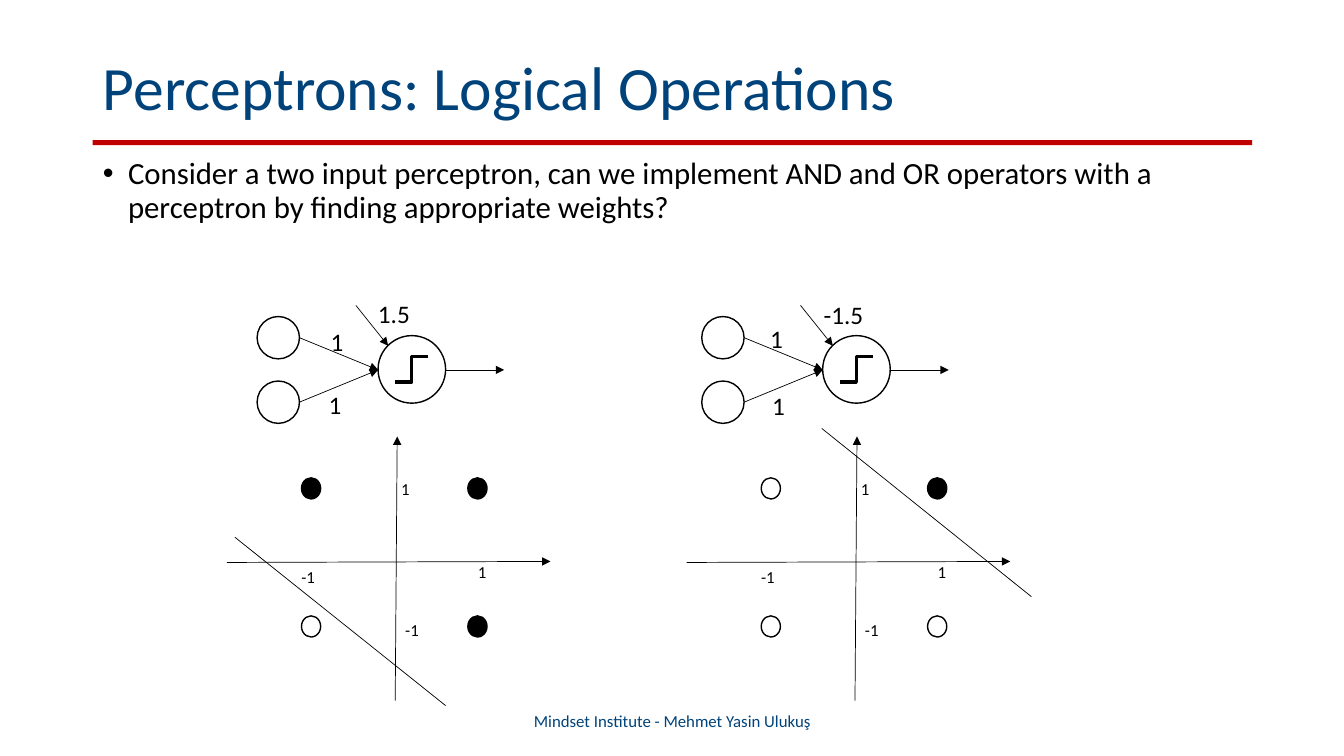
from lxml import etree
from pptx import Presentation
from pptx.dml.color import RGBColor
from pptx.enum.shapes import MSO_CONNECTOR, MSO_SHAPE
from pptx.enum.text import MSO_ANCHOR, MSO_AUTO_SIZE, PP_ALIGN
from pptx.oxml.ns import qn
from pptx.util import Inches, Pt

STRAIGHT, ELBOW = MSO_CONNECTOR.STRAIGHT, MSO_CONNECTOR.ELBOW
OVAL, RECT = MSO_SHAPE.OVAL, MSO_SHAPE.RECTANGLE
LEFT, CENTER = PP_ALIGN.LEFT, PP_ALIGN.CENTER
TOP, MIDDLE = MSO_ANCHOR.TOP, MSO_ANCHOR.MIDDLE
NO_FIT = MSO_AUTO_SIZE.NONE

FONT = "Calibri"
COLORS = {"title": "00437A", "rule": "C00000", "ink": "000000", "paper": "FFFFFF"}


def rgb(name):
    """Return the named colour."""
    return RGBColor.from_string(COLORS[name])


def write(tf, text, size=18, color="ink", align=LEFT, anchor=TOP, spacing=1.0, bullet=False):
    """Put one formatted paragraph into a text frame."""
    tf.word_wrap = True
    tf.auto_size = NO_FIT
    tf.vertical_anchor = anchor
    p = tf.paragraphs[0]
    if bullet:
        pPr = p._p.get_or_add_pPr()
        pPr.set("marL", str(Inches(0.25)))
        pPr.set("indent", str(Inches(-0.25)))
        etree.SubElement(pPr, qn("a:buChar")).set("char", "•")
    p.alignment = align
    p.line_spacing = spacing
    p.space_before = Pt(0)
    r = p.add_run()
    r.text = text
    r.font.name = FONT
    r.font.size = Pt(size)
    r.font.color.rgb = rgb(color)


def fill_placeholder(sp, x, y, w, h, text, **fmt):
    """Move a placeholder and write its text."""
    sp.left, sp.top, sp.width, sp.height = map(Inches, (x, y, w, h))
    write(sp.text_frame, text, **fmt)


def add_text(s, x, y, w, h, text, **fmt):
    """Add a text box."""
    tb = s.shapes.add_textbox(Inches(x), Inches(y), Inches(w), Inches(h))
    write(tb.text_frame, text, **fmt)


def add_shape(s, kind, x, y, w, h, fill=None, line="ink"):
    """Add a preset shape with an optional fill and outline."""
    sp = s.shapes.add_shape(kind, Inches(x), Inches(y), Inches(w), Inches(h))
    sp.shadow.inherit = False
    if fill:
        sp.fill.solid()
        sp.fill.fore_color.rgb = rgb(fill)
    else:
        sp.fill.background()
    if line:
        sp.line.color.rgb = rgb(line)
        sp.line.width = Pt(1)
    else:
        sp.line.fill.background()


def add_line(s, x1, y1, x2, y2, kind=STRAIGHT, width=0.5, arrow=False):
    """Add a connector, with an arrowhead at its end if asked."""
    cxn = s.shapes.add_connector(kind, Inches(x1), Inches(y1), Inches(x2), Inches(y2))
    cxn.line.color.rgb = rgb("ink")
    cxn.line.width = Pt(width)
    if arrow:
        ln = cxn.line._get_or_add_ln()
        etree.SubElement(ln, qn("a:tailEnd")).set("type", "triangle")
    etree.SubElement(cxn._element.spPr, qn("a:effectLst"))


def add_perceptron(s, x, labels):
    """Draw two inputs, a step neuron, its arrows and weight labels."""
    add_shape(s, OVAL, x + 1.2, 3.33, 0.67, 0.67)
    add_line(s, x + 1.7, 3.54, x + 1.37, 3.79, kind=ELBOW, width=2.25)
    for y in (3.14, 3.78):
        add_shape(s, OVAL, x, y, 0.42, 0.42)
        add_line(s, x + 0.42, y + 0.21, x + 1.2, 3.67, arrow=True)
    add_line(s, x + 0.98, 3.03, x + 1.3, 3.43, arrow=True)
    add_line(s, x + 1.87, 3.67, x + 2.45, 3.67, arrow=True)
    for text, label_x, label_y in labels:
        add_text(s, label_x, label_y, 0.68, 0.4, text)


def add_plot(s, x, true_points, boundary):
    """Draw axes, four input points and the decision boundary."""
    add_line(s, x + 1.67, 6.95, x + 1.69, 4.33, arrow=True)
    add_line(s, x, 5.58, x + 3.21, 5.57, arrow=True)
    for i in (-1, 1):
        for j in (-1, 1):
            fill = "ink" if (i, j) in true_points else "paper"
            add_shape(s, OVAL, x + 1.565 + 0.825 * i, 5.425 - 0.685 * j, 0.19, 0.21, fill=fill)
    for text, dx, y in (("1", 2.39, 5.52), ("-1", 1.67, 6.1), ("-1", 0.64, 5.57), ("1", 1.63, 4.7)):
        add_text(s, x + dx, y, 0.59, 0.3, text, size=12)
    add_line(s, *boundary)


def main():
    """Build the slide and save it."""
    prs = Presentation()
    prs.slide_width, prs.slide_height = Inches(13.33), Inches(7.5)
    s = prs.slides.add_slide(prs.slide_layouts[1])
    add_shape(s, RECT, 0.92, 1.39, 11.5, 0.05, fill="rule", line=None)
    fill_placeholder(s.shapes.title, 0.92, 0.4, 11.5, 0.99, "Perceptrons: Logical Operations",
                     size=44, color="title", anchor=MIDDLE, spacing=0.9)
    fill_placeholder(s.placeholders[1], 0.92, 1.52, 11.5, 5.38,
                     "Consider a two input perceptron, can we implement AND and OR operators "
                     "with a perceptron by finding appropriate weights?",
                     size=22, spacing=0.9, bullet=True)
    add_text(s, 4.42, 6.95, 4.5, 0.4, "Mindset Institute - Mehmet Yasin Ulukuş",
             size=12, color="title", align=CENTER, anchor=MIDDLE)
    add_perceptron(s, 2.55, [("1.5", 3.65, 2.91), ("1", 3.16, 3.81), ("1", 3.18, 3.19)])
    add_perceptron(s, 6.96, [("-1.5", 8.07, 2.92), ("1", 7.54, 3.16), ("1", 7.56, 3.82)])
    add_plot(s, 2.25, {(-1, 1), (1, 1), (1, -1)}, (4.42, 7, 2.33, 5.33))
    add_plot(s, 6.81, {(1, 1)}, (10.23, 5.92, 8.15, 4.25))
    prs.save("out.pptx")


if __name__ == "__main__":
    main()
